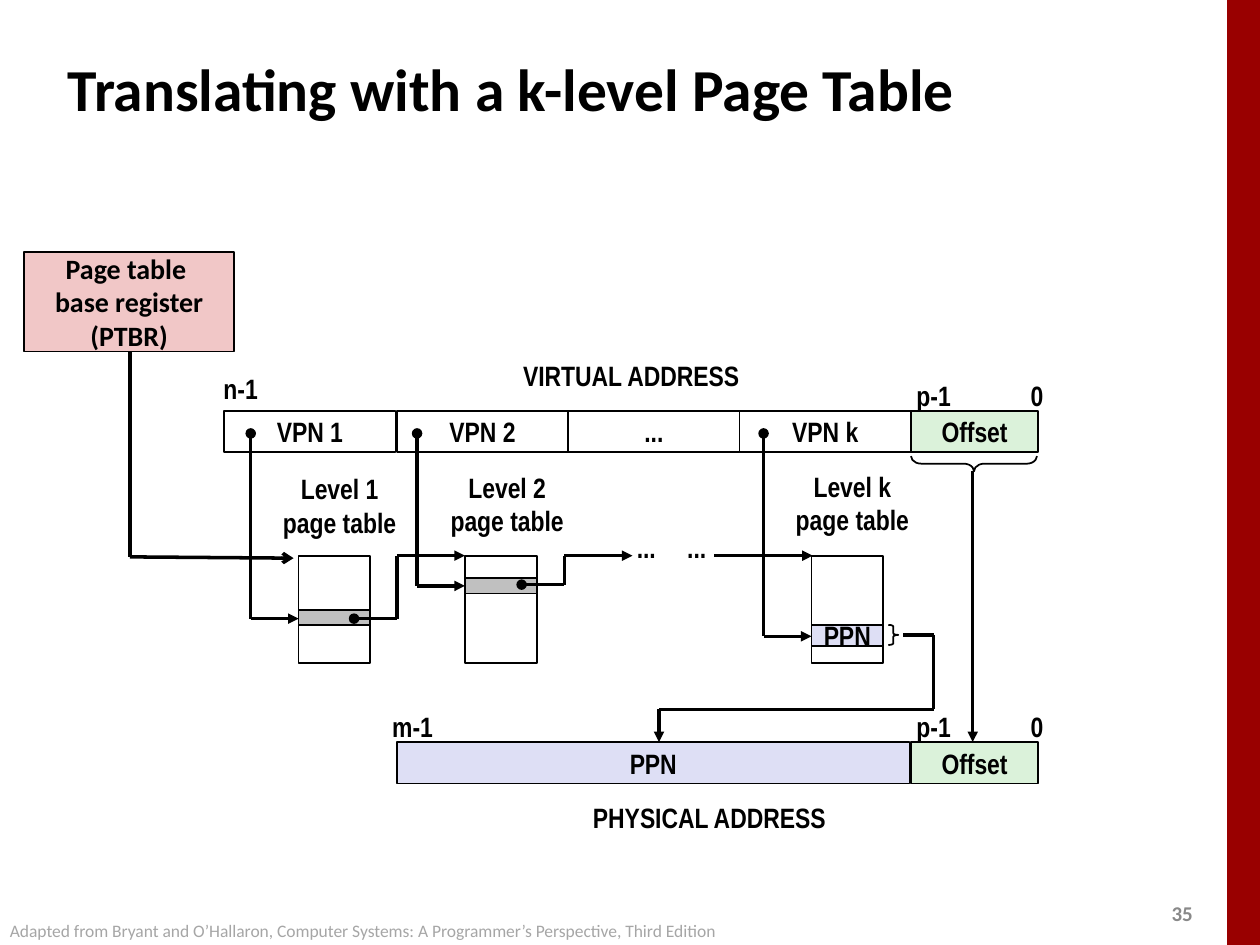
from dataclasses import dataclass
from lxml import etree
from pptx import Presentation
from pptx.dml.color import RGBColor
from pptx.enum import shapes, text
from pptx.oxml.ns import qn
from pptx.util import Pt

PX = 9144  # EMU per px, 100 px to the inch


@dataclass(frozen=True)
class Theme:
    ink: str = "000000"
    accent: str = "990000"
    register: str = "F1C7C7"
    offset: str = "DBF2DA"
    ppn: str = "DEDFF5"
    entry: str = "C0C0C0"
    number: str = "898989"
    credit: str = "A6A6A6"
    sans: str = "Calibri"
    narrow: str = "Arial Narrow"
    title_pt: int = 34
    body_pt: int = 16
    number_pt: int = 12
    credit_pt: int = 10


T = Theme()
RECT = shapes.MSO_SHAPE.RECTANGLE
BRACE = shapes.MSO_SHAPE.RIGHT_BRACE

prs = Presentation()
prs.slide_width, prs.slide_height = 1000 * PX, 750 * PX
s = prs.slides.add_slide(prs.slide_layouts[6])


def add_box(x, y, w, h, words="", kind=None, fill=None, line=T.ink, size=T.body_pt,
            font=T.narrow, color=T.ink, bold=True, wrap=False, align="CENTER"):
    """Add a preset shape, or a plain text box when no kind is given."""
    frame = [v * PX for v in (x, y, w, h)]
    if kind is None:
        sp = s.shapes.add_textbox(*frame)
    else:
        sp = s.shapes.add_shape(kind, *frame)
        sp.shadow.inherit = False
        if fill:
            sp.fill.solid()
            sp.fill.fore_color.rgb = RGBColor.from_string(fill)
        else:
            sp.fill.background()
        if line:
            sp.line.color.rgb = RGBColor.from_string(line)
            sp.line.width = Pt(1)
        else:
            sp.line.fill.background()
    if words:
        tf = sp.text_frame
        tf.text = words
        tf.word_wrap = wrap
        tf.vertical_anchor = text.MSO_ANCHOR.MIDDLE
        for p in tf.paragraphs:
            p.alignment = text.PP_ALIGN[align]
            for r in p.runs:
                r.font.name, r.font.size, r.font.bold = font, Pt(size), bold
                r.font.color.rgb = RGBColor.from_string(color)
    return sp


def add_path(points, head=None, tail=None):
    """Join points with straight connectors; ends apply to the whole path."""
    last = len(points) - 2
    for i, (a, b) in enumerate(zip(points, points[1:])):
        c = s.shapes.add_connector(shapes.MSO_CONNECTOR.STRAIGHT,
                                   *[v * PX for v in a + b])
        c.line.color.rgb = RGBColor.from_string(T.ink)
        c.line.width = Pt(2)
        ln = c.line._get_or_add_ln()
        if head and i == 0:
            etree.SubElement(ln, qn("a:headEnd"), type=head)
        if tail and i == last:
            etree.SubElement(ln, qn("a:tailEnd"), type=tail)
        etree.SubElement(c._element.spPr, qn("a:effectLst"))


# Side bar, slide number, title and credit
add_box(974, 0, 26, 750, kind=RECT, fill=T.accent, line=None)
add_box(920, 710, 40, 30, "35", size=T.number_pt, font=T.sans, color=T.number, align="LEFT")
add_box(44, 27, 906, 86, "Translating with a k-level Page Table", size=T.title_pt,
        font=T.sans, wrap=True, align="LEFT")
add_box(-2, 725, 595, 27,
        "Adapted from Bryant and O’Hallaron, Computer Systems: "
        "A Programmer’s Perspective, Third Edition",
        size=T.credit_pt, font=T.sans, color=T.credit, bold=False, align="LEFT")

# Page table base register
add_box(19, 200, 167, 79, "Page table \vbase register\n(PTBR)", RECT, T.register,
        font=T.sans, wrap=True)
add_path([(103, 279), (103, 442), (233, 443)], tail="arrow")

# Virtual address fields
for x, words in zip((178, 315, 451, 587), ("VPN 1", "VPN 2", "...", "VPN k")):
    add_box(x, 326, 136, 33, words, RECT)

# Physical page number, and the offset shared by both addresses
add_box(315, 589, 407, 33, "PPN", RECT, T.ppn)
for y in (326, 589):
    add_box(723, y, 101, 33, "Offset", RECT, T.offset)
    add_box(717, y - 31, 48, 37, "p-1")
    add_box(808, y - 31, 30, 37, "0")
add_box(167, 290, 48, 37, "n-1")
add_box(301, 558, 53, 37, "m-1")
add_box(404, 279, 194, 37, "VIRTUAL ADDRESS")
add_box(459, 630, 208, 37, "PHYSICAL ADDRESS")

# Page tables: left edge, level, label position, entry top and height, fill, words
tables = [
    (237, "1", 214, 369, 484, 12, T.entry, ""),
    (369, "2", 347, 368, 459, 12, T.entry, ""),
    (644, "k", 621, 367, 496, 17, T.ppn, "PPN"),
]
for x, level, label_x, label_y, entry_y, entry_h, fill, words in tables:
    add_box(label_x, label_y, 111, 64, f"Level {level}\npage table")
    add_box(x, 441, 57, 85, kind=RECT)
    add_box(x, entry_y, 57, entry_h, words, RECT, fill)
    # Index from the VPN field into the table
    index_y = entry_y + (entry_h + 1) // 2
    index_y += 1 if entry_h == 12 and level == "1" else 0
    add_path([(x - 38, 344), (x - 38, index_y), (x, index_y)], "oval", "triangle")

# Links from each entry to the next table
add_path([(281, 491), (315, 491), (315, 441), (369, 441)], "oval", "triangle")
add_path([(414, 464), (448, 464), (448, 441), (502, 441)], "oval", "triangle")
add_path([(567, 441), (645, 441)], tail="triangle")
for x in (495, 535):
    add_box(x, 416, 36, 37, "...")

# Braces and the results carried to the physical address
offset_brace = add_box(767, 318, 12, 100, kind=BRACE)
offset_brace.rotation = 90
offset_brace.adjustments[0] = 0.68
ppn_brace = add_box(705, 496, 8, 16, kind=BRACE)
ppn_brace.adjustments[0] = 0.16
add_path([(772, 374), (772, 589)], tail="triangle")
add_path([(717, 504), (741, 504), (741, 563), (523, 563), (523, 589)], tail="triangle")

prs.save("out.pptx")
